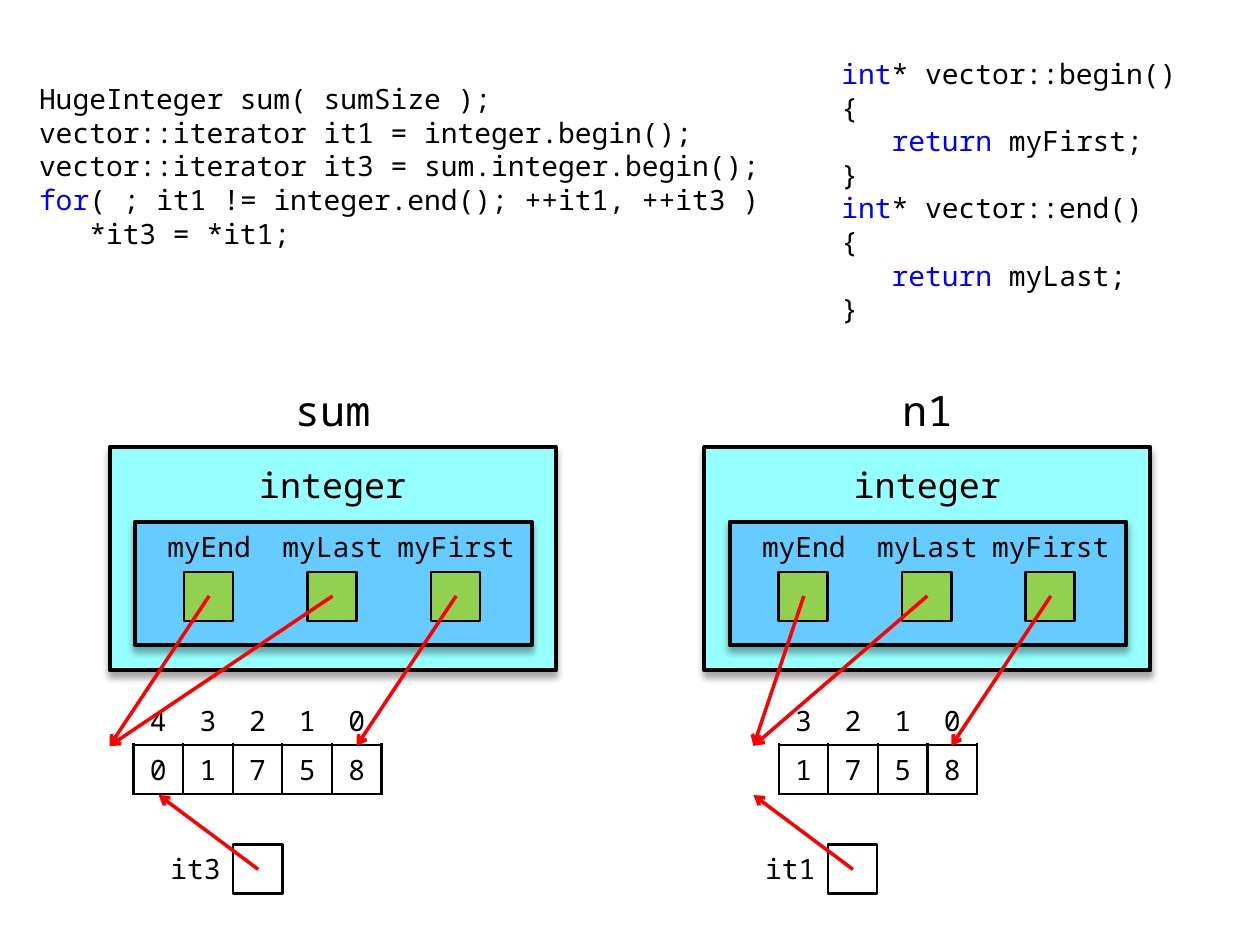
from lxml import etree
from pptx import Presentation
from pptx.dml.color import RGBColor
from pptx.enum.shapes import MSO_CONNECTOR, MSO_SHAPE
from pptx.enum.text import MSO_ANCHOR, PP_ALIGN
from pptx.oxml import parse_xml
from pptx.oxml.ns import nsdecls, qn
from pptx.util import Inches, Pt

STRAIGHT = MSO_CONNECTOR.STRAIGHT
RECT, PROCESS = MSO_SHAPE.RECTANGLE, MSO_SHAPE.FLOWCHART_PROCESS
LEFT, CENTER, RIGHT = PP_ALIGN.LEFT, PP_ALIGN.CENTER, PP_ALIGN.RIGHT
TOP, MIDDLE = MSO_ANCHOR.TOP, MSO_ANCHOR.MIDDLE

FONT = "Noto Sans Mono"
COLORS = {"black": "000000", "white": "FFFFFF", "keyword": "0000FF",
          "object": "96FFFF", "vector": "66CCFF", "pointer": "92D050",
          "arrow": "FF0000"}
CELL = 0.39          # side of pointer boxes and table cells
STEP = 0.98          # distance between pointer members


def color(name):
    return RGBColor.from_string(COLORS[name])


class Diagram:
    def __init__(self, slide):
        self.shapes = slide.shapes

    def style(self, para, size, align=CENTER):
        para.alignment = align
        para.font.name, para.font.size = FONT, Pt(size)
        para.font.color.rgb = color("black")

    def frame(self, left, top, width, height, anchor):
        box = self.shapes.add_textbox(*map(Inches, (left, top, width, height)))
        frame = box.text_frame
        frame.word_wrap, frame.vertical_anchor = True, anchor
        return frame

    def label(self, text, left, top, width, height, size=16, align=CENTER):
        frame = self.frame(left, top, width, height, MIDDLE)
        frame.text = text
        self.style(frame.paragraphs[0], size, align)

    def code(self, lines, left, top, width, height, inset=0.1):
        """Each line is (indent, keyword, rest)."""
        frame = self.frame(left, top, width, height, TOP)
        frame.margin_left = Inches(inset)
        for number, (indent, keyword, rest) in enumerate(lines):
            para = frame.add_paragraph() if number else frame.paragraphs[0]
            self.style(para, 16, LEFT)
            para.line_spacing = Pt(19.2)
            for text in filter(None, (indent, keyword, rest)):
                span = para.add_run()
                span.text = text
                if text == keyword:
                    span.font.color.rgb = color("keyword")

    def box(self, left, top, width, height, fill, kind=RECT, line=1.5, shadow=False):
        box = self.shapes.add_shape(kind, *map(Inches, (left, top, width, height)))
        box.shadow.inherit = False
        box.fill.solid()
        box.fill.fore_color.rgb = color(fill)
        box.line.color.rgb = color("black")
        box.line.width = Pt(line)
        if shadow:
            effects = box._element.spPr.find(qn("a:effectLst"))
            effects.append(parse_xml(
                f'<a:outerShdw {nsdecls("a")} blurRad="{Pt(4)}" dist="{Pt(3)}" '
                f'dir="5400000" rotWithShape="0"><a:srgbClr val="{COLORS["black"]}">'
                '<a:alpha val="35000"/></a:srgbClr></a:outerShdw>'))

    def arrow(self, x1, y1, x2, y2):
        arrow = self.shapes.add_connector(STRAIGHT, *map(Inches, (x1, y1, x2, y2)))
        arrow.line.color.rgb = color("arrow")
        arrow.line.width = Pt(2)
        etree.SubElement(arrow.line._get_or_add_ln(), qn("a:tailEnd"), type="arrow")
        etree.SubElement(arrow._element.spPr, qn("a:effectLst"))

    def borders(self, cell, sides):
        for index, side in enumerate(sides):
            cell._tc.get_or_add_tcPr().insert(index, parse_xml(
                f'<a:ln{side} {nsdecls("a")} w="{Pt(1.5)}"><a:solidFill>'
                f'<a:srgbClr val="{COLORS["black"]}"/></a:solidFill></a:ln{side}>'))

    def digits(self, values, left, top):
        count = len(values)
        table = self.shapes.add_table(2, count, *map(
            Inches, (left, top, count * CELL, 2 * CELL))).table
        table.first_row = table.horz_banding = False
        for row in table.rows:
            row.height = Inches(CELL)
        for index, value in enumerate(values):
            table.columns[index].width = Inches(0.394)
            for row, text in enumerate((str(count - 1 - index), value)):
                cell = table.cell(row, index)
                cell.text = text
                cell.margin_left = cell.margin_right = 0
                cell.vertical_anchor = MIDDLE
                self.style(cell.text_frame.paragraphs[0], 16)
                if row:
                    cell.fill.solid()
                    cell.fill.fore_color.rgb = color("white")
                else:
                    cell.fill.background()
                self.borders(cell, "LRTB" if row else "B")

    def huge_integer(self, name, left, values, table_left, past_end, iterator):
        """A HugeInteger, its vector members, its digits and an iterator."""
        self.digits(values, left + table_left, 5.52)
        self.label(name, left + 1.18, 2.96, 1.18, 0.59, 24)
        self.box(left, 3.55, 3.54, 1.77, "object", PROCESS, 2.25, True)
        self.label("integer", left + 0.98, 3.55, 1.58, 0.59, 20)
        self.box(left + 0.2, 4.14, 3.15, 0.98, "vector", PROCESS, 2.25, True)
        # Iterator
        self.box(left + 0.98, 6.7, CELL, CELL, "white")
        self.label(iterator, left + 0.19, 6.7, 0.79, CELL, align=RIGHT)
        self.arrow(left + 1.18, 6.9, left + 0.39, 6.31)
        # Pointer members
        targets = {"myEnd": past_end, "myLast": past_end, "myFirst": 1.96}
        for index, member in enumerate(targets):
            self.label(member, left + 0.2 + index * STEP, 4.14, 1.18, CELL)
            self.box(left + 0.59 + index * STEP, 4.54, CELL, CELL, "pointer")
        for index, target in enumerate(targets.values()):
            self.arrow(left + 0.79 + index * STEP, 4.73, left + target, 5.92)


deck = Presentation()
deck.slide_width, deck.slide_height = Inches(10), Inches(7.5)
diagram = Diagram(deck.slides.add_slide(deck.slide_layouts[6]))

# Code listings
diagram.code([
    ("", "", "HugeInteger sum( sumSize );"),
    ("", "", "vector::iterator it1 = integer.begin();"),
    ("", "", "vector::iterator it3 = sum.integer.begin();"),
    ("", "for", "( ; it1 != integer.end(); ++it1, ++it3 )"),
    ("   ", "", "*it3 = *it1;"),
], 0.27, 0.6, 6.1, 1.58, inset=0.04)

accessors = []
for function, member in (("begin", "myFirst"), ("end", "myLast")):
    accessors += [("", "int", f"* vector::{function}()"), ("", "", "{"),
                  ("   ", "return", f" {member};"), ("", "", "}")]
diagram.code(accessors, 6.58, 0.4, 2.95, 2.17)

# Memory diagrams
diagram.huge_integer("sum", 0.87, "01758", 0.19, 0, "it3")
diagram.huge_integer("n1", 5.59, "1758", 0.59, 0.39, "it1")

deck.save("out.pptx")
